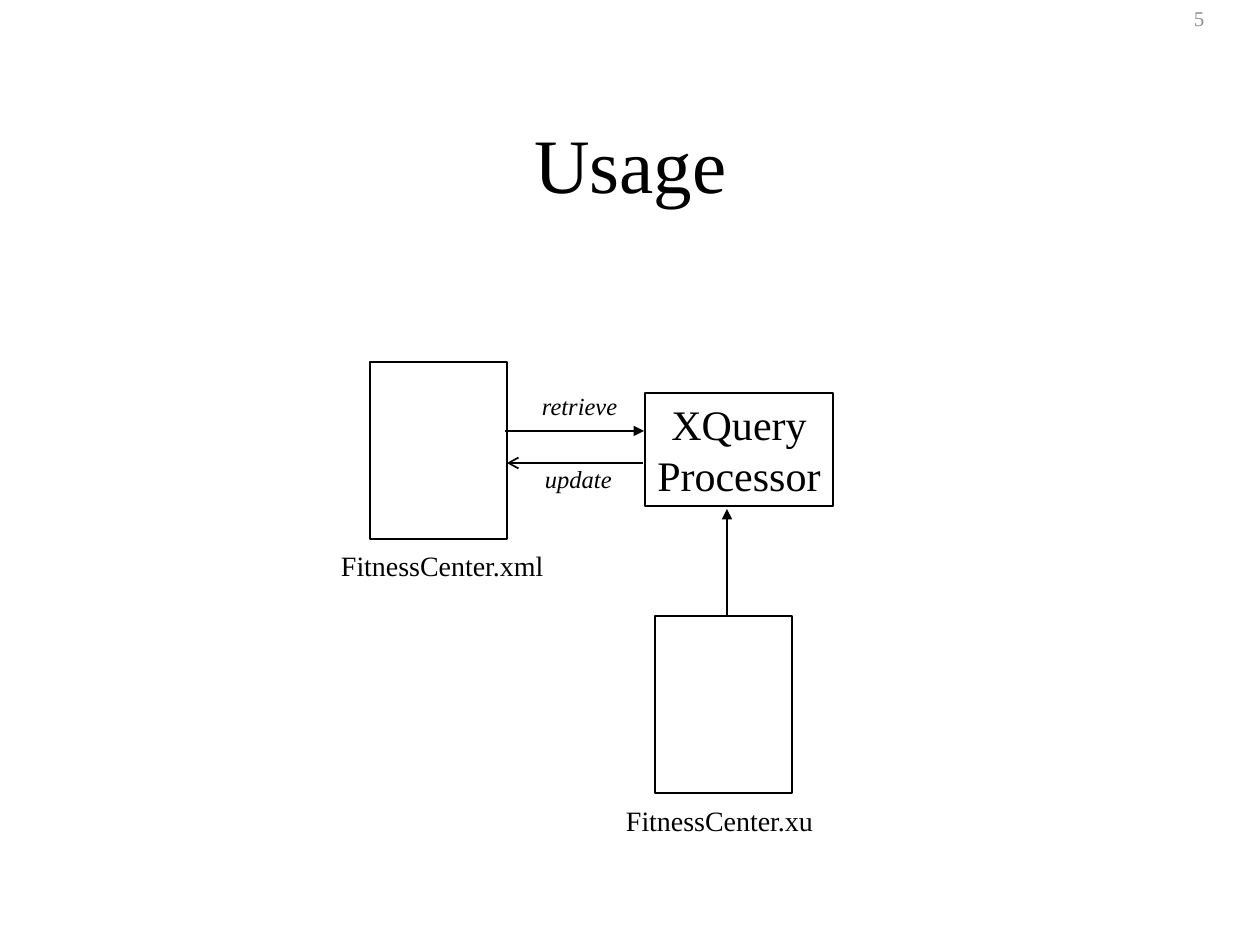
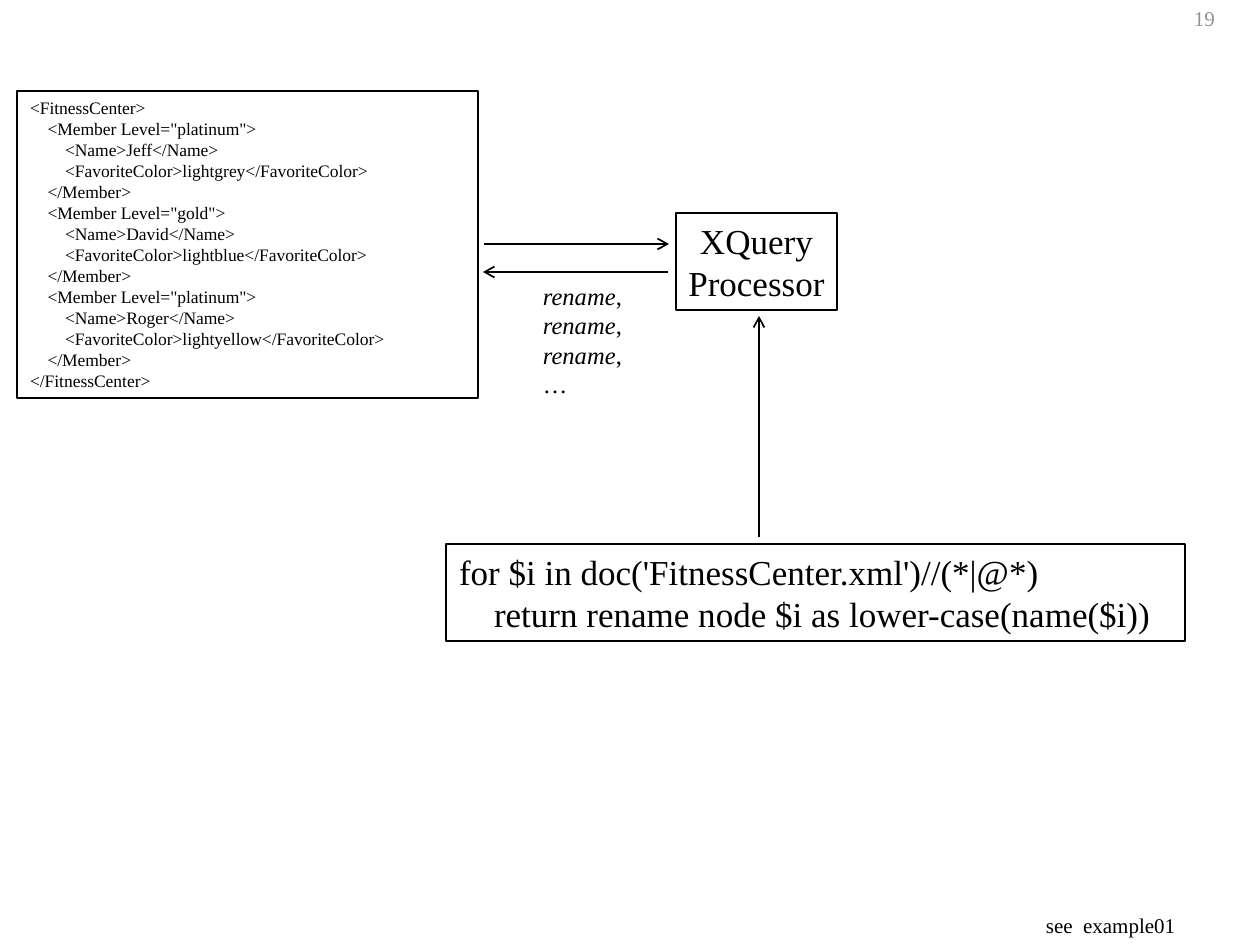
from dataclasses import dataclass

from pptx import Presentation
from pptx.dml.color import RGBColor as RGB
from pptx.enum.shapes import MSO_CONNECTOR as CONNECTOR, MSO_SHAPE as SHAPE
from pptx.enum.text import MSO_ANCHOR as ANCHOR, PP_ALIGN as ALIGN
from pptx.oxml.ns import qn
from pptx.util import Inches, Pt
from lxml.etree import SubElement


@dataclass(frozen=True)
class Theme:
    font: str = "Times New Roman"
    ink: RGB = RGB(0, 0, 0)
    paper: RGB = RGB(255, 255, 255)
    muted: RGB = RGB(0x91, 0x91, 0x91)
    line: int = 1
    title: int = 44
    heading: int = 24
    body: int = 20
    caption: int = 16
    label: int = 14
    note: int = 12
    code: int = 10


theme = Theme()
PX = Inches(1) / 126
INSET_X, INSET_Y = round(13 * PX), round(6 * PX)


def put_text(slide, at, lines=(), size=theme.note, color=theme.ink, italic="", levels=None,
             center=False, anchor=ANCHOR.TOP, outlined=False, fill=None):
    place = [round(n * PX) for n in at]
    if outlined:
        box = slide.shapes.add_shape(SHAPE.RECTANGLE, *place)
        box.shadow.inherit = False
        box.line.color.rgb = theme.ink
        box.line.width = Pt(theme.line)
    else:
        box = slide.shapes.add_textbox(*place)
    if fill is None:
        box.fill.background()
    else:
        box.fill.solid()
        box.fill.fore_color.rgb = fill
    frame = box.text_frame
    frame.word_wrap = True
    frame.vertical_anchor = anchor
    frame.margin_left = 0 if center else INSET_X
    frame.margin_right = 0
    frame.margin_top = frame.margin_bottom = INSET_Y
    for number, line in enumerate(lines):
        paragraph = frame.add_paragraph() if number else frame.paragraphs[0]
        paragraph.alignment = ALIGN.CENTER if center else ALIGN.LEFT
        if levels:
            paragraph._p.get_or_add_pPr().set("marL", str(Pt(size * levels[number])))
        for part in line.partition(italic) if italic else [line]:
            if part:
                run = paragraph.add_run()
                run.text = part
                run.font.name = theme.font
                run.font.size = Pt(size)
                run.font.color.rgb = color
                run.font.italic = part == italic


def put_arrow(slide, start, end, head="arrow"):
    ends = [round(n * PX) for n in (*start, *end)]
    arrow = slide.shapes.add_connector(CONNECTOR.STRAIGHT, *ends)
    arrow.line.color.rgb = theme.ink
    arrow.line.width = Pt(theme.line)
    SubElement(arrow.line._get_or_add_ln(), qn("a:tailEnd"), type=head)
    SubElement(arrow._element.spPr, qn("a:effectLst"))


deck = Presentation()
deck.slide_width, deck.slide_height = round(1260 * PX), round(945 * PX)
usage, renaming = [deck.slides.add_slide(deck.slide_layouts[6]) for _ in range(2)]

processor = ["XQuery", "Processor"]
for slide, number, processor_at, processor_size in [
    (usage, "5", (645, 393, 188, 113), theme.heading),
    (renaming, "19", (676, 213, 161, 97), theme.body),
]:
    put_text(slide, (1181, 0, 79, 38), [number], color=theme.muted)
    put_text(slide, processor_at, processor, size=processor_size, center=True, outlined=True)

put_text(usage, (95, 84, 1071, 158), ["Usage"], size=theme.title, center=True, anchor=ANCHOR.MIDDLE)
for file_name, left, top, caption_top in [
    ("FitnessCenter.xml", 370, 362, 543),
    ("FitnessCenter.xu", 655, 616, 797),
]:
    put_text(usage, (left, top, 137, 177), outlined=True)
    put_text(usage, (left - 42, caption_top, 230, 46), [file_name], size=theme.caption)
for action, left, top in [("retrieve", 529, 385), ("update", 532, 458)]:
    put_text(usage, (left, top, 101, 43), [action], size=theme.label, italic=action)
put_arrow(usage, (727, 616), (727, 509), head="triangle")
put_arrow(usage, (505, 431), (644, 431), head="triangle")
put_arrow(usage, (643, 463), (507, 463))

members = [("platinum", "Jeff", "lightgrey"), ("gold", "David", "lightblue"),
           ("platinum", "Roger", "lightyellow")]
document, document_levels = ["<FitnessCenter>"], [0]
for level, name, color in members:
    document += [
        f'<Member Level="{level}">',
        f"<Name>{name}</Name>",
        f"<FavoriteColor>{color}</FavoriteColor>",
        "</Member>",
    ]
    document_levels += [1, 2, 2, 1]
document.append("</FitnessCenter>")
document_levels.append(0)
put_text(renaming, (17, 91, 461, 307), document, size=theme.code, levels=document_levels,
         outlined=True, fill=theme.paper)

query = ["for $i in doc('FitnessCenter.xml')//(*|@*)",
         "return rename node $i as lower-case(name($i))"]
put_text(renaming, (446, 544, 739, 97), query, size=theme.body, levels=[0, 1],
         outlined=True, fill=theme.paper)
put_text(renaming, (530, 275, 105, 131), ["rename,"] * 3 + ["…"], size=theme.label, italic="rename")
put_text(renaming, (1033, 907, 160, 38), ["see  example01"])
put_arrow(renaming, (484, 244), (669, 244))
put_arrow(renaming, (668, 272), (483, 272))
put_arrow(renaming, (759, 537), (759, 316))

deck.save("out.pptx")
